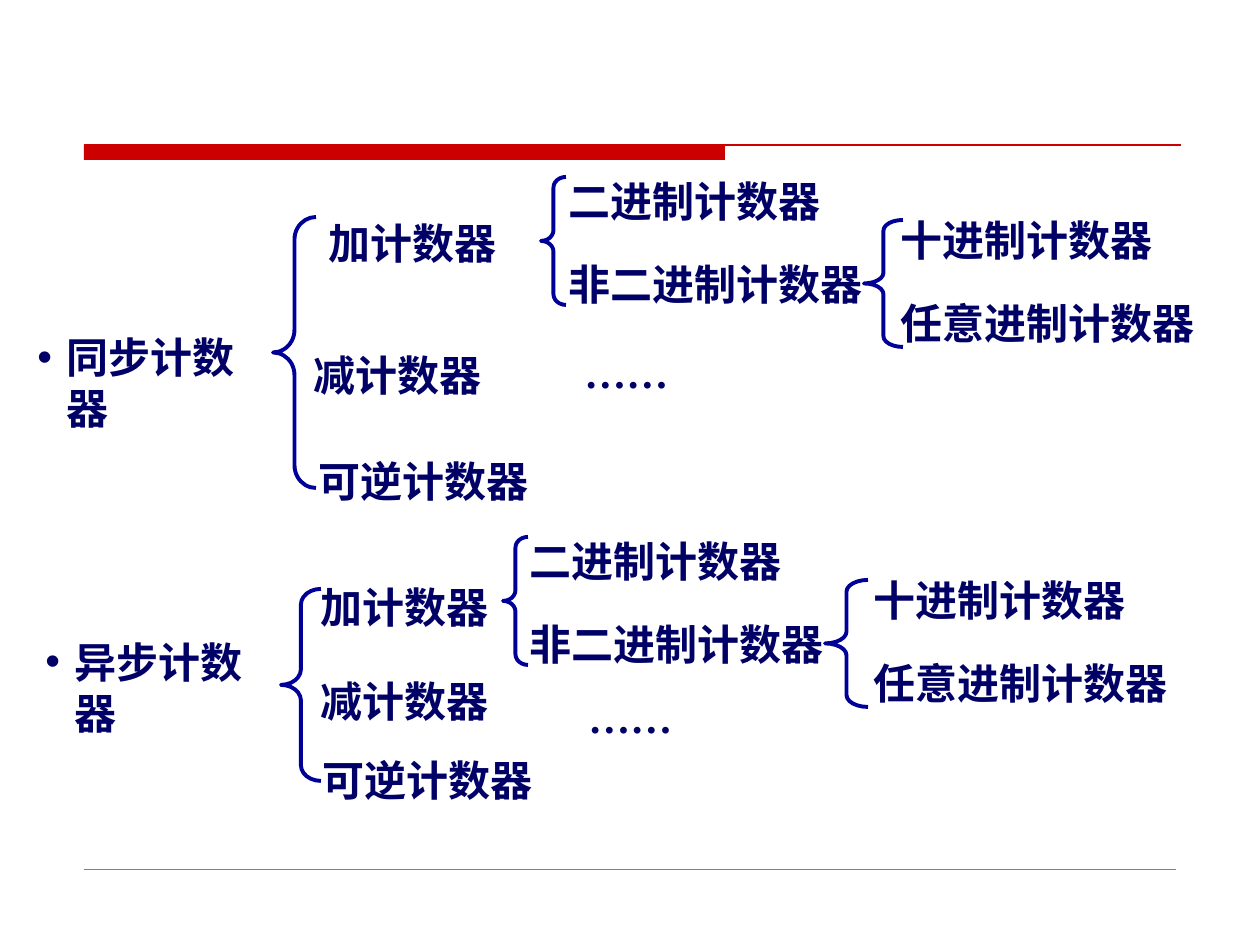
import pptx
import pptx.util
import pptx.dml.color
import pptx.enum.shapes
import pptx.oxml.ns
import lxml.etree

PX = 914400 // 126
CJK = "Noto Sans CJK SC"
SERIF = "Times New Roman"


def paint(color_format, value):
    color_format.rgb = pptx.dml.color.RGBColor.from_string(value)


def add_child(parent, tag, **attributes):
    return lxml.etree.SubElement(parent, pptx.oxml.ns.qn(tag), **attributes)


deck = pptx.Presentation()
deck.slide_width = pptx.util.Inches(10)
deck.slide_height = pptx.util.Inches(7.5)
slide = deck.slides.add_slide(deck.slide_layouts[6])
shapes = slide.shapes

header_bar = shapes.add_shape(
    pptx.enum.shapes.MSO_SHAPE.RECTANGLE, 84 * PX, 145 * PX, 641 * PX, 15 * PX)
header_bar.shadow.inherit = False
header_bar.fill.solid()
paint(header_bar.fill.fore_color, "CC0000")
header_bar.line.fill.background()

rules = [
    (84, 1181, 145, "CC0000", 0.75),
    (84, 1176, 869, "808080", 0.25),
]
for left, right, y, color, weight in rules:
    rule = shapes.add_connector(
        pptx.enum.shapes.MSO_CONNECTOR.STRAIGHT, left * PX, y * PX, right * PX, y * PX)
    paint(rule.line.color, color)
    rule.line.width = pptx.util.Pt(weight)
    add_child(rule._element.spPr, "a:effectLst")

braces = [
    (273, 217, 43, 271, 0.525),
    (541, 177, 25, 128, 0.426),
    (864, 220, 39, 127, 0.274),
    (281, 589, 40, 192, 0.392),
    (503, 537, 25, 128, 0.426),
    (825, 580, 43, 127, 0.274),
]
for left, top, width, height, curl in braces:
    brace = shapes.add_shape(
        pptx.enum.shapes.MSO_SHAPE.LEFT_BRACE, left * PX, top * PX, width * PX, height * PX)
    brace.shadow.inherit = False
    brace.adjustments[0] = curl
    brace.adjustments[1] = 0.5
    brace.fill.background()
    paint(brace.line.color, "000099")
    brace.line.width = pptx.util.Pt(2.25)

labels = [
    ("同步计数器", 25, 321, 260, CJK, True),
    ("加计数器", 316, 207, 203, CJK, False),
    ("减计数器", 301, 339, 231, CJK, False),
    ("可逆计数器", 306, 445, 246, CJK, False),
    ("二进制计数器", 556, 165, 296, CJK, False),
    ("非二进制计数器", 556, 248, 349, CJK, False),
    ("十进制计数器", 888, 204, 336, CJK, False),
    ("任意进制计数器", 888, 287, 336, CJK, False),
    ("……", 572, 340, 116, SERIF, False),
    ("异步计数器", 33, 626, 260, CJK, True),
    ("加计数器", 308, 571, 223, CJK, False),
    ("减计数器", 308, 665, 231, CJK, False),
    ("可逆计数器", 310, 744, 246, CJK, False),
    ("二进制计数器", 517, 525, 296, CJK, False),
    ("非二进制计数器", 517, 608, 349, CJK, False),
    ("十进制计数器", 861, 564, 359, CJK, False),
    ("任意进制计数器", 861, 647, 359, CJK, False),
    ("……", 576, 685, 116, SERIF, False),
]
for wording, left, top, width, typeface, bulleted in labels:
    label = shapes.add_textbox(left * PX, top * PX, width * PX, 63 * PX)
    frame = label.text_frame
    frame.word_wrap = True
    frame.margin_top = (10 if typeface == CJK else 6) * PX
    frame.margin_bottom = 2 * PX
    frame.text = wording
    paragraph = frame.paragraphs[0]
    paragraph.line_spacing = pptx.util.Pt(29)
    if bulleted:
        properties = paragraph._p.get_or_add_pPr()
        properties.set("marL", str(29 * PX))
        properties.set("indent", str(-29 * PX))
        add_child(properties, "a:buFont", typeface="Arial")
        add_child(properties, "a:buChar", char="•")
    font = paragraph.runs[0].font
    font.size = pptx.util.Pt(24)
    font.bold = True
    font.name = typeface
    paint(font.color, "000066")
    add_child(font._element, "a:ea", typeface=typeface)

deck.save("out.pptx")
